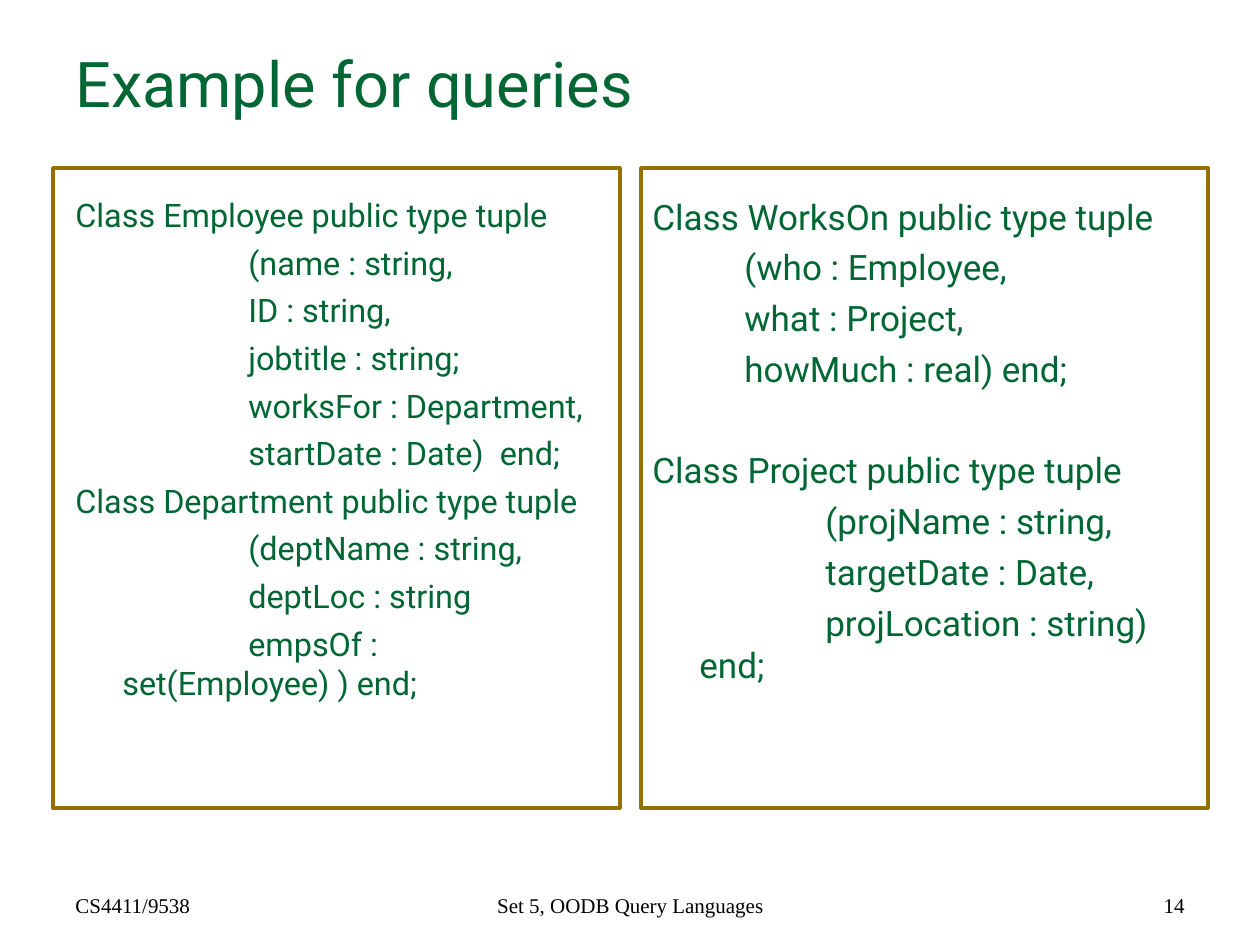
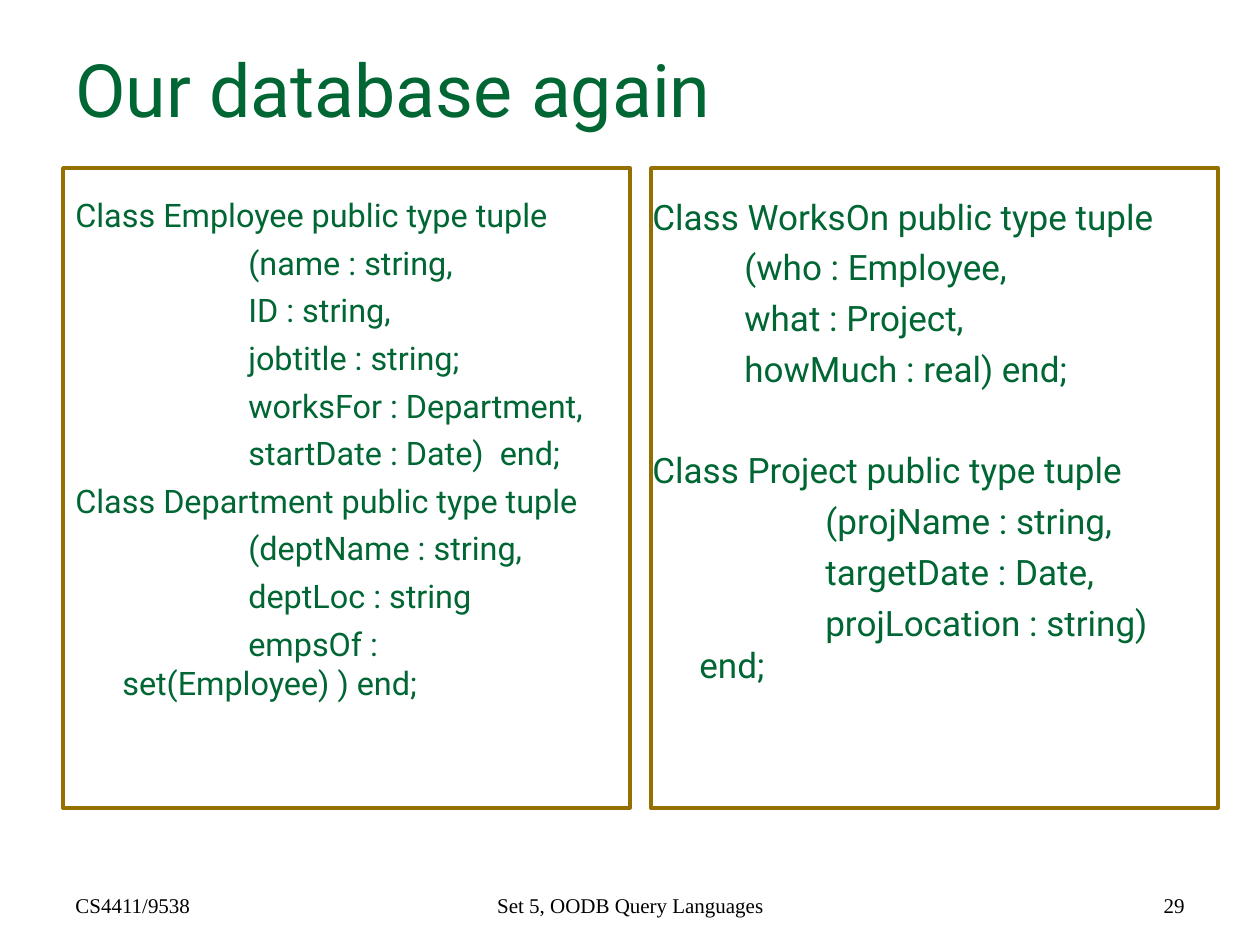
"""Build two slides that show the example database classes in framed columns."""
from pptx import Presentation
from pptx.dml.color import RGBColor
from pptx.enum.shapes import MSO_SHAPE
from pptx.enum.text import MSO_ANCHOR, PP_ALIGN
from pptx.util import Emu, Pt

PX_PER_INCH = 126
GREEN = RGBColor(0x00, 0x66, 0x33)
GOLD = RGBColor(0x95, 0x6F, 0x00)
BLACK = RGBColor(0x00, 0x00, 0x00)
HEADING_FONT = "Roboto"
FOOTER_FONT = "Times New Roman"

COLUMN_TOP, COLUMN_WIDTH, COLUMN_HEIGHT = 189, 557, 655
FRAME_TOP, FRAME_WIDTH, FRAME_HEIGHT, FRAME_STEP = 168, 567, 640, 588
FOOTER_TOP, FOOTER_HEIGHT = 861, 63

CLASS_LINE = {"margin": 47, "indent": -47, "level": 0, "space_before": 5}
FIELD_LINE = {"margin": 47, "indent": 126, "level": 0, "space_before": 5}
NEAR_FIELD_LINE = {"margin": 92, "indent": 0, "level": 1, "space_before": 5}
SPACED_CLASS_LINE = {**CLASS_LINE, "space_before": 34}

EMPLOYEE_COLUMN = [
    (CLASS_LINE, ["Class Employee public type tuple"]),
    (FIELD_LINE, ["(name : string,", "ID : string,", "jobtitle : string;",
                  "worksFor : Department,", "startDate : Date)  end;"]),
    (CLASS_LINE, ["Class Department public type tuple"]),
    (FIELD_LINE, ["(deptName : string,", "deptLoc : string",
                  "empsOf : set(Employee) ) end;"]),
]
PROJECT_COLUMN = [
    (CLASS_LINE, ["Class WorksOn public type tuple"]),
    (NEAR_FIELD_LINE, ["(who : Employee,", "what : Project,",
                       "howMuch : real) end;"]),
    (SPACED_CLASS_LINE, ["Class Project public type tuple"]),
    (FIELD_LINE, ["(projName : string,", "targetDate : Date,",
                  "projLocation : string) end;"]),
]
COLUMNS = [(63, 18.5, EMPLOYEE_COLUMN), (640, 20, PROJECT_COLUMN)]

SLIDES = [
    {"title": "Example for queries", "title_size": 36, "number": "14", "frame_left": 53},
    {"title": "Our database again", "title_size": 42, "number": "29", "frame_left": 63},
]


def px(length):
    """Turn a length in pixels into EMU."""
    return Emu(round(length * 914400 / PX_PER_INCH))


def add_text_frame(page, left, top, width, height, anchor=MSO_ANCHOR.TOP):
    """Add a wrapping text box and return its text frame."""
    box = page.shapes.add_textbox(px(left), px(top), px(width), px(height))
    frame = box.text_frame
    for name, value in {"word_wrap": True, "vertical_anchor": anchor}.items():
        setattr(frame, name, value)
    return frame


def write_span(paragraph, text, size, font=HEADING_FONT, color=GREEN):
    """Write one formatted run into a paragraph."""
    span = paragraph.add_run()
    span.text = text
    for name, value in {"size": Pt(size), "name": font}.items():
        setattr(span.font, name, value)
    span.font.color.rgb = color


def add_title(page, text, size):
    """Add the slide title."""
    frame = add_text_frame(page, 63, 38, 1134, 120)
    write_span(frame.paragraphs[0], text, size)


def format_line(paragraph, style):
    """Apply a line style's level, spacing and indents."""
    for name, value in {"level": style["level"],
                        "space_before": Pt(style["space_before"])}.items():
        setattr(paragraph, name, value)
    properties = paragraph._p.get_or_add_pPr()
    properties.set("marL", str(px(style["margin"])))
    properties.set("indent", str(px(style["indent"])))


def add_class_column(page, left, size, groups):
    """Add a column of class definitions."""
    frame = add_text_frame(page, left, COLUMN_TOP, COLUMN_WIDTH, COLUMN_HEIGHT)
    lines = [(style, text) for style, texts in groups for text in texts]
    for index, (style, text) in enumerate(lines):
        paragraph = frame.add_paragraph() if index else frame.paragraphs[0]
        format_line(paragraph, style)
        write_span(paragraph, text, size)


def add_footers(page, number):
    """Add the course, set name and slide number."""
    footers = [
        (63, 294, PP_ALIGN.LEFT, "CS4411/9538"),
        (431, 399, PP_ALIGN.CENTER, "Set 5, OODB Query Languages"),
        (903, 294, PP_ALIGN.RIGHT, number),
    ]
    for left, width, alignment, text in footers:
        frame = add_text_frame(page, left, FOOTER_TOP, width, FOOTER_HEIGHT,
                               MSO_ANCHOR.BOTTOM)
        paragraph = frame.paragraphs[0]
        paragraph.alignment = alignment
        write_span(paragraph, text, 12, FOOTER_FONT, BLACK)


def add_column_frame(page, left):
    """Add an unfilled gold frame around a column."""
    box = page.shapes.add_shape(MSO_SHAPE.RECTANGLE, px(left), px(FRAME_TOP),
                                px(FRAME_WIDTH), px(FRAME_HEIGHT))
    box.shadow.inherit = False
    box.fill.background()
    box.line.color.rgb = GOLD
    box.line.width = Pt(2)


def add_database_slide(deck, title, title_size, number, frame_left):
    """Add one slide with the two class columns."""
    page = deck.slides.add_slide(deck.slide_layouts[6])
    add_title(page, title, title_size)
    for left, size, groups in COLUMNS:
        add_class_column(page, left, size, groups)
    add_footers(page, number)
    for column in range(len(COLUMNS)):
        add_column_frame(page, frame_left + column * FRAME_STEP)


def main():
    """Build and save the deck."""
    deck = Presentation()
    deck.slide_width, deck.slide_height = px(1260), px(945)
    for content in SLIDES:
        add_database_slide(deck, **content)
    deck.save("out.pptx")


if __name__ == "__main__":
    main()
